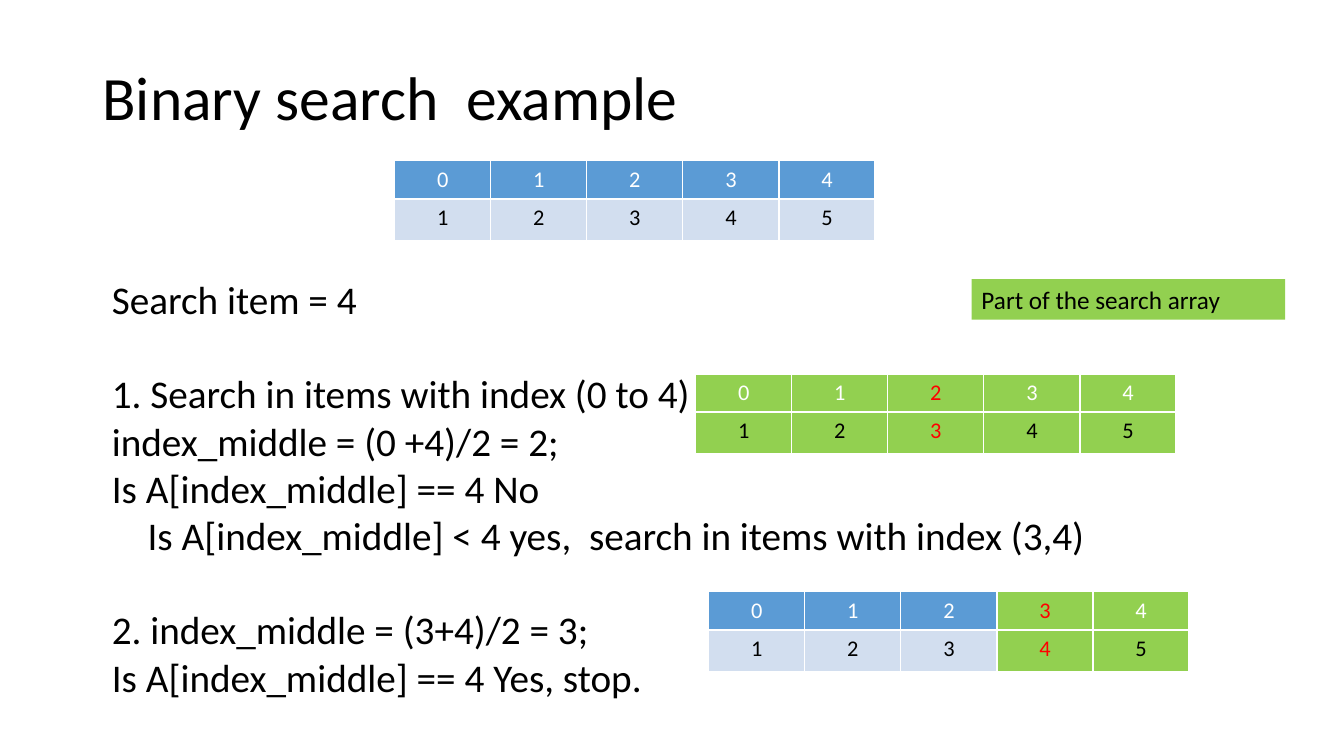
from dataclasses import dataclass

from lxml.etree import SubElement
from pptx import Presentation
from pptx.dml.color import RGBColor
from pptx.enum.shapes import MSO_SHAPE
from pptx.enum.text import MSO_ANCHOR, MSO_AUTO_SIZE, PP_ALIGN
from pptx.oxml.ns import qn
from pptx.util import Pt


@dataclass(frozen=True)
class Theme:
    font: str = "Calibri"
    title_size: float = 44
    body_size: float = 28
    label_size: float = 18
    cell_size: float = 16
    body_line: float = 33.7
    text: str = "000000"
    header_text: str = "FFFFFF"
    middle_text: str = "FF0000"
    header_fill: str = "5B9BD5"
    value_fill: str = "D2DEEF"
    searched_fill: str = "92D050"


class SearchSlide:
    def __init__(self, slide, theme):
        self.slide = slide
        self.theme = theme

    def place(self, shape, left, top, width, height):
        shape.left, shape.top = Pt(left), Pt(top)
        shape.width, shape.height = Pt(width), Pt(height)

    def add_run(self, paragraph, text, size, color):
        run = paragraph.add_run()
        run.text = text
        run.font.name = self.theme.font
        run.font.size = Pt(size)
        run.font.bold = False
        run.font.color.rgb = RGBColor.from_string(color)

    def title(self, text, *box):
        shape = self.slide.shapes.title
        self.place(shape, *box)
        frame = shape.text_frame
        frame.auto_size = MSO_AUTO_SIZE.NONE
        frame.vertical_anchor = MSO_ANCHOR.MIDDLE
        paragraph = frame.paragraphs[0]
        paragraph.alignment = PP_ALIGN.LEFT
        paragraph.line_spacing = 0.9
        self.add_run(paragraph, text, self.theme.title_size, self.theme.text)

    def body(self, groups, *box):
        """Write groups of (text, indent) lines, one line apart."""
        theme = self.theme
        shape = self.slide.placeholders[1]
        self.place(shape, *box)
        frame = shape.text_frame
        frame.auto_size = MSO_AUTO_SIZE.NONE
        for group_index, group in enumerate(groups):
            for line_index, (text, indent) in enumerate(group):
                is_first = group_index == line_index == 0
                paragraph = frame.paragraphs[0] if is_first else frame.add_paragraph()
                properties = paragraph._p.get_or_add_pPr()
                properties.set("marL", str(Pt(indent)))
                properties.set("indent", "0")
                SubElement(properties, qn("a:buNone"))
                starts_later_group = line_index == 0 and group_index > 0
                paragraph.space_before = Pt(theme.body_line if starts_later_group else 0)
                paragraph.line_spacing = Pt(theme.body_line)
                self.add_run(paragraph, text, theme.body_size, theme.text)

    def array(self, left, top, header_height, searched=(), middle=None):
        """Draw indexes over values, marking the searched columns and the middle one."""
        theme = self.theme
        row_styles = (
            (INDEXES, header_height, theme.header_fill, theme.header_text),
            (VALUES, 29.5, theme.value_fill, theme.text),
        )
        column_width = 68.6
        table = self.slide.shapes.add_table(
            len(row_styles), len(INDEXES), Pt(left), Pt(top),
            Pt(column_width * len(INDEXES)), Pt(header_height + 29.5),
        ).table
        for column in table.columns:
            column.width = Pt(column_width)
        for row_index, (numbers, height, fill, color) in enumerate(row_styles):
            table.rows[row_index].height = Pt(height)
            for column_index, number in enumerate(numbers):
                cell = table.cell(row_index, column_index)
                cell.fill.solid()
                cell.fill.fore_color.rgb = RGBColor.from_string(
                    theme.searched_fill if column_index in searched else fill)
                paragraph = cell.text_frame.paragraphs[0]
                paragraph.alignment = PP_ALIGN.CENTER
                self.add_run(paragraph, str(number), theme.cell_size,
                             theme.middle_text if column_index == middle else color)

    def legend(self, text, left, top, width, height):
        shape = self.slide.shapes.add_shape(
            MSO_SHAPE.RECTANGLE, Pt(left), Pt(top), Pt(width), Pt(height))
        shape.shadow.inherit = False
        shape.fill.solid()
        shape.fill.fore_color.rgb = RGBColor.from_string(self.theme.searched_fill)
        shape.line.fill.background()
        frame = shape.text_frame
        frame.word_wrap = True
        frame.vertical_anchor = MSO_ANCHOR.TOP
        paragraph = frame.paragraphs[0]
        paragraph.alignment = PP_ALIGN.LEFT
        self.add_run(paragraph, text, self.theme.label_size, self.theme.text)


INDEXES = range(5)
VALUES = range(1, 6)
STEPS = (
    (("Search item = 4", 0),),
    (
        ("1. Search in items with index (0 to 4)", 0),
        ("index_middle = (0 +4)/2 = 2;", 0),
        ("Is A[index_middle] == 4 No", 0),
        ("Is A[index_middle] < 4 yes,  search in items with index (3,4)", 25.5),
    ),
    (
        ("2. index_middle = (3+4)/2 = 3;", 0),
        ("Is A[index_middle] == 4 Yes, stop.", 0),
    ),
)


def main():
    presentation = Presentation()
    presentation.slide_width, presentation.slide_height = Pt(960), Pt(540)
    slide = presentation.slides.add_slide(presentation.slide_layouts[1])
    search = SearchSlide(slide, Theme())
    search.title("Binary search  example", 66, 28.8, 862, 85.7)
    search.body(STEPS, 72.7, 193, 813, 318)
    search.array(282, 114.8, 27.4)
    search.array(497, 267.5, 26.7, searched=INDEXES, middle=2)
    search.array(506.3, 422.6, 27.4, searched=(3, 4), middle=3)
    search.legend("Part of the search array", 694, 199.4, 224, 29)
    presentation.save("out.pptx")


if __name__ == "__main__":
    main()
